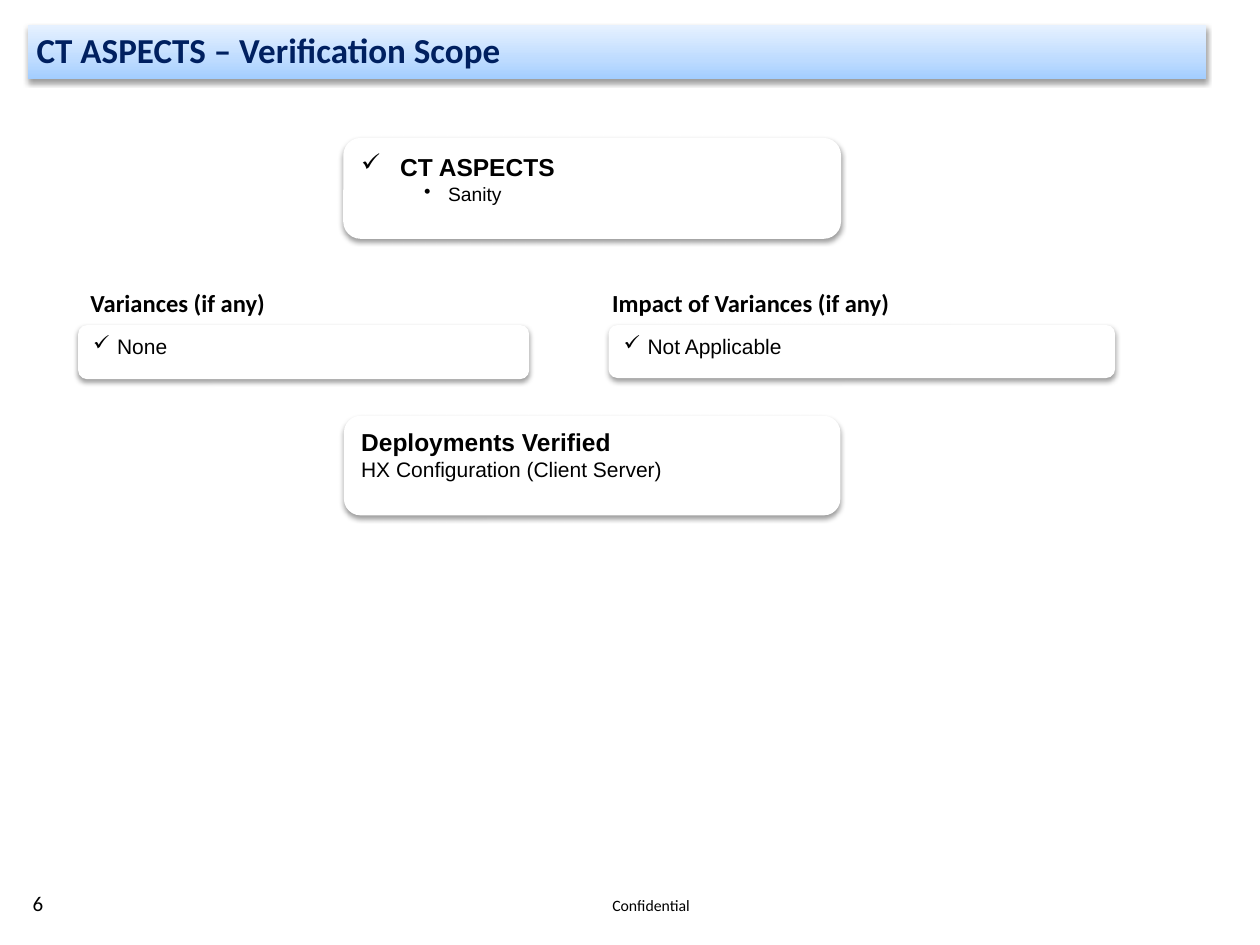
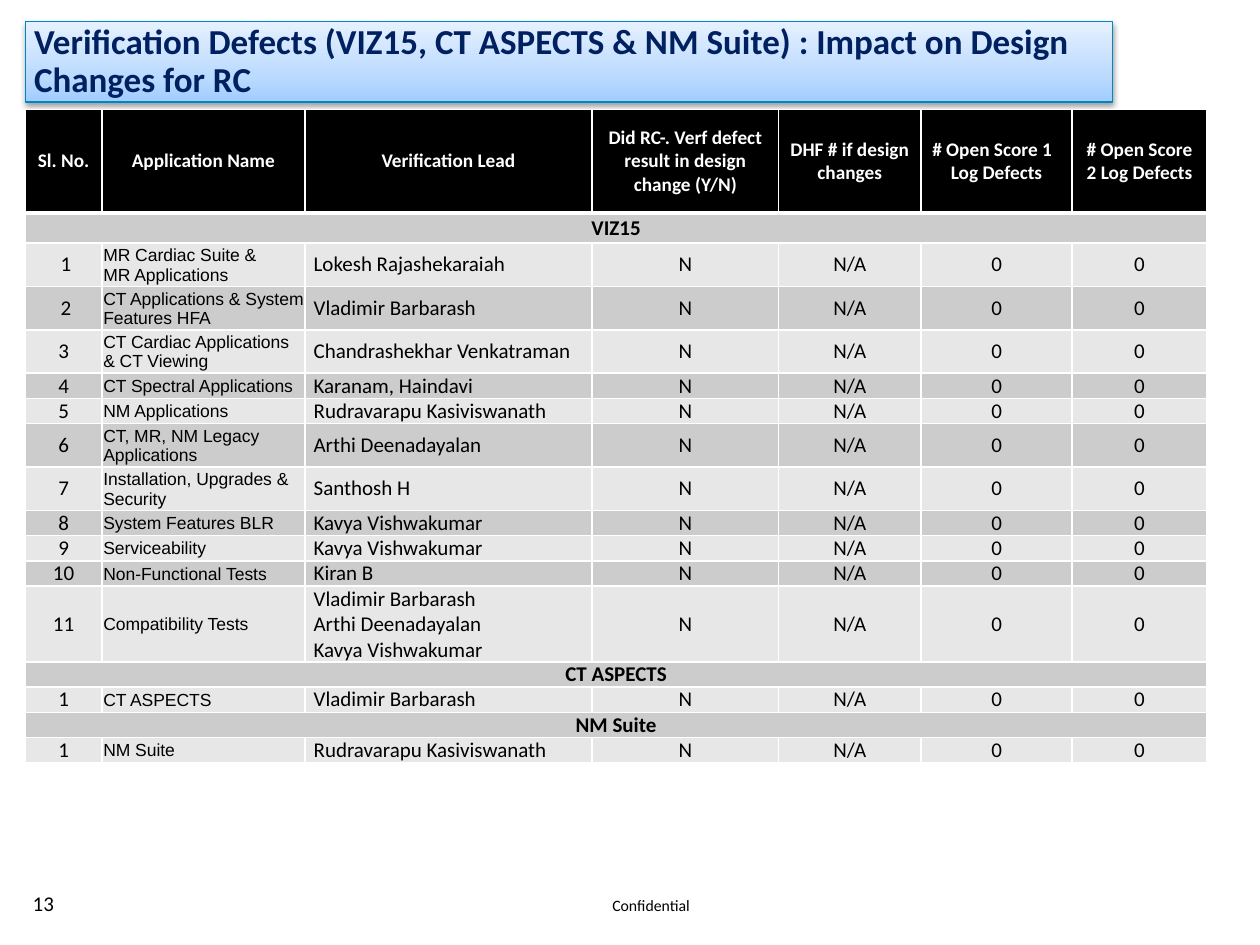
from copy import deepcopy

from lxml.etree import SubElement
from pptx import Presentation
from pptx.dml.color import RGBColor
from pptx.enum.shapes import MSO_SHAPE
from pptx.enum.text import MSO_ANCHOR, MSO_AUTO_SIZE, PP_ALIGN
from pptx.oxml.ns import qn
from pptx.util import Inches, Pt

BLACK = RGBColor(0x00, 0x00, 0x00)
WHITE = RGBColor(0xFF, 0xFF, 0xFF)
NAVY = RGBColor(0x00, 0x20, 0x60)
EDGE = RGBColor(0x00, 0x86, 0xC0)
DARK = RGBColor(0xCC, 0xCC, 0xCC)
LIGHT = RGBColor(0xE7, 0xE7, 0xE7)
BAND = [(0, RGBColor(0xA2, 0xCD, 0xFF)), (0.35, RGBColor(0xBD, 0xDB, 0xFF)),
        (1, RGBColor(0xE6, 0xF1, 0xFF))]

HEADS = ["Sl. No.", "Application Name", "Verification Lead",
         "Did RC-. Verf defect result in design change (Y/N)",
         "DHF # if design changes", "# Open Score 1  \vLog Defects",
         "# Open Score 2 Log Defects"]
WIDTHS = [0.61, 1.61, 2.28, 1.48, 1.13, 1.2, 1.07]
GROUPS = [
    ("VIZ15", [
        (" 1", "MR Cardiac Suite & \vMR Applications", "Lokesh Rajashekaraiah"),
        (" 2", "CT Applications & System Features HFA", "Vladimir Barbarash"),
        ("3", "CT Cardiac Applications & CT Viewing", "Chandrashekhar Venkatraman"),
        ("4", "CT Spectral Applications", "Karanam, Haindavi"),
        ("5", "NM Applications", "Rudravarapu Kasiviswanath"),
        ("6", "CT, MR, NM Legacy Applications", "Arthi Deenadayalan"),
        ("7", "Installation, Upgrades & Security", "Santhosh H"),
        ("8", "System Features BLR", "Kavya Vishwakumar"),
        ("9", "Serviceability", "Kavya Vishwakumar"),
        ("10", "Non-Functional Tests", "Kiran B"),
        ("11", "Compatibility Tests",
         "Vladimir Barbarash\nArthi Deenadayalan\nKavya Vishwakumar")]),
    ("CT ASPECTS", [("1", "CT ASPECTS", "Vladimir Barbarash")]),
    ("NM Suite", [("1", "NM Suite", "Rudravarapu Kasiviswanath")]),
]
RESULT = ("N", "N/A", "0", "0")


def style(para, size, name="Calibri", color=BLACK, bold=False, align=PP_ALIGN.LEFT):
    """Format one paragraph and its runs."""
    para.alignment = align
    for run in para.runs:
        font = run.font
        font.size, font.name, font.bold = Pt(size), name, bold
        font.color.rgb = color


def pad(frame, left, top, right, bottom):
    """Set the four insets of a text frame or cell."""
    frame.margin_left, frame.margin_top = Inches(left), Inches(top)
    frame.margin_right, frame.margin_bottom = Inches(right), Inches(bottom)


def shade(shape):
    """Give a shape the soft shadow that falls below it."""
    shape.shadow.inherit = False
    effect = shape._element.spPr.find(qn("a:effectLst"))
    cast = SubElement(effect, qn("a:outerShdw"), blurRad=str(Pt(3.1)),
                      dist=str(Pt(1.6)), dir="5400000", rotWithShape="0")
    color = SubElement(cast, qn("a:srgbClr"), val=str(BLACK))
    SubElement(color, qn("a:alpha"), val="38000")


def bullet(para, mark, left, hang):
    """Set a bullet character with its hanging indent."""
    props = para._p.get_or_add_pPr()
    props.set("marL", str(Inches(left)))
    props.set("indent", str(-Inches(hang)))
    SubElement(props, qn("a:buChar"), char=mark)


def label(slide, box, text, size, bold=False, wrap=True):
    """Add a plain text box."""
    shape = slide.shapes.add_textbox(*map(Inches, box))
    frame = shape.text_frame
    frame.word_wrap = wrap
    frame.text = text
    style(frame.paragraphs[0], size, bold=bold)
    return frame


def start(deck, box, text, page, edge=None):
    """Add a slide with its title band and footer."""
    slide = deck.slides.add_slide(deck.slide_layouts[5])
    title = slide.shapes.title
    title.left, title.top, title.width, title.height = map(Inches, box)
    fill = title.fill
    fill.gradient()
    fill.gradient_angle = 90
    stops = title._element.spPr.find(".//" + qn("a:gsLst"))
    stops.append(deepcopy(stops[0]))
    for stop, (place, color) in zip(fill.gradient_stops, BAND):
        stop.position = place
        stop.color.rgb = color
    if edge:
        title.line.color.rgb = edge
        title.line.width = Pt(0.75)
    shade(title)
    frame = title.text_frame
    frame.text = text
    frame.word_wrap = True
    frame.auto_size = MSO_AUTO_SIZE.NONE
    frame.vertical_anchor = MSO_ANCHOR.MIDDLE
    pad(frame, 0.07, 0.07, 0.07, 0.07)
    frame.paragraphs[0].line_spacing = 0.9
    style(frame.paragraphs[0], 20, color=NAVY, bold=True)
    pad(label(slide, (0.91, 7.11, 4.96, 0.15), "Confidential", 9), 3.95, 0, 0, 0)
    pad(label(slide, (0.26, 7.07, 0.56, 0.2), page, 12), 0, 0, 0, 0)
    return slide


def card(slide, box, lines, edge=False):
    """Add a white rounded card; a line is text, size, bold and bullet."""
    shape = slide.shapes.add_shape(MSO_SHAPE.ROUNDED_RECTANGLE, *map(Inches, box))
    shape.fill.solid()
    shape.fill.fore_color.rgb = WHITE
    if edge:
        shape.line.color.rgb = WHITE
        shape.line.width = Pt(0.75)
    else:
        shape.line.fill.background()
    shade(shape)
    frame = shape.text_frame
    frame.word_wrap = True
    frame.vertical_anchor = MSO_ANCHOR.TOP
    frame.text = "\n".join(line[0] for line in lines)
    for para, (_, size, bold, mark) in zip(frame.paragraphs, lines):
        if mark:
            bullet(para, *mark)
        if edge:
            para.line_spacing = 1.07
        style(para, size, "Arial", bold=bold)


def scope(deck):
    """Build the verification scope slide."""
    slide = start(deck, (0.22, 0.2, 9.35, 0.43), "CT ASPECTS – Verification Scope", "6")
    card(slide, (2.73, 1.1, 3.94, 0.79),
         [("CT ASPECTS", 14, True, ("✓", 0.31, 0.31)),
          ("Sanity", 11, False, ("•", 0.69, 0.19))], edge=True)
    label(slide, (0.62, 2.24, 1.6, 0.34), "Variances (if any)", 14, True)
    label(slide, (4.76, 2.24, 2.41, 0.34), "Impact of Variances (if any)", 14, True, False)
    tick = ("✓", 0.19, 0.19)
    card(slide, (0.62, 2.58, 3.58, 0.43), [("None", 12, False, tick)])
    card(slide, (4.83, 2.58, 4.02, 0.42), [("Not Applicable", 12, False, tick)])
    card(slide, (2.73, 3.3, 3.94, 0.79),
         [("Deployments Verified", 14, True, None),
          ("HX Configuration (Client Server)", 12, False, None)])


def paint(cell, fill, top=1, bottom=1):
    """Give a cell its white borders and its fill."""
    props = cell._tc.get_or_add_tcPr()
    for side, width in zip("LRTB", (1, 1, top, bottom)):
        line = SubElement(props, qn("a:ln" + side), w=str(Pt(width)))
        solid = SubElement(line, qn("a:solidFill"))
        SubElement(solid, qn("a:srgbClr"), val=str(WHITE))
    cell.fill.solid()
    cell.fill.fore_color.rgb = fill


def write(cell, text, size=12, name="Calibri", color=BLACK, bold=False,
          align=PP_ALIGN.CENTER):
    """Write formatted text in a cell."""
    cell.text_frame.text = text
    cell.vertical_anchor = MSO_ANCHOR.MIDDLE
    pad(cell, 0.07, 0, 0.07, 0)
    for para in cell.text_frame.paragraphs:
        style(para, size, name, color, bold, align)


def grid(slide, box):
    """Add the table of defects by group."""
    count = 1 + sum(1 + len(rows) for _, rows in GROUPS)
    table = slide.shapes.add_table(count, len(HEADS), *map(Inches, box)).table
    table.horz_banding = False
    for col, width in zip(table.columns, WIDTHS):
        col.width = Inches(width)
    for row, high in zip(table.rows, [0.82, 0.24, 0.24] + [0.15] * (count - 3)):
        row.height = Inches(high)
    for col, head in enumerate(HEADS):
        cell = table.cell(0, col)
        paint(cell, BLACK, bottom=3)
        write(cell, head, 11, color=WHITE, bold=True)
    spot = 1
    for group, rows in GROUPS:
        for cell in table.rows[spot].cells:
            paint(cell, DARK, top=3 if spot == 1 else 1)
        first = table.cell(spot, 0)
        first.merge(table.cell(spot, len(HEADS) - 1))
        write(first, group, bold=True)
        for step, row in enumerate(rows):
            spot += 1
            cells = list(table.rows[spot].cells)
            for cell, text in zip(cells, row + RESULT):
                paint(cell, DARK if step % 2 else LIGHT)
                write(cell, text)
            write(cells[1], row[1], 10, "Arial", align=PP_ALIGN.LEFT)
            pad(cells[1], 0.01, 0.01, 0.01, 0)
            write(cells[2], row[2], align=PP_ALIGN.LEFT)
        spot += 1


def defects(deck):
    """Build the verification defects slide."""
    slide = start(deck, (0.2, 0.17, 8.63, 0.64),
                  "Verification Defects (VIZ15, CT ASPECTS & NM Suite) : "
                  "Impact on Design Changes for RC", "13", EDGE)
    grid(slide, (0.2, 0.87, 9.38, 5.19))


def main():
    """Build and save the deck."""
    deck = Presentation()
    deck.slide_width, deck.slide_height = Inches(10), Inches(7.5)
    scope(deck)
    defects(deck)
    deck.save("out.pptx")


if __name__ == "__main__":
    main()
